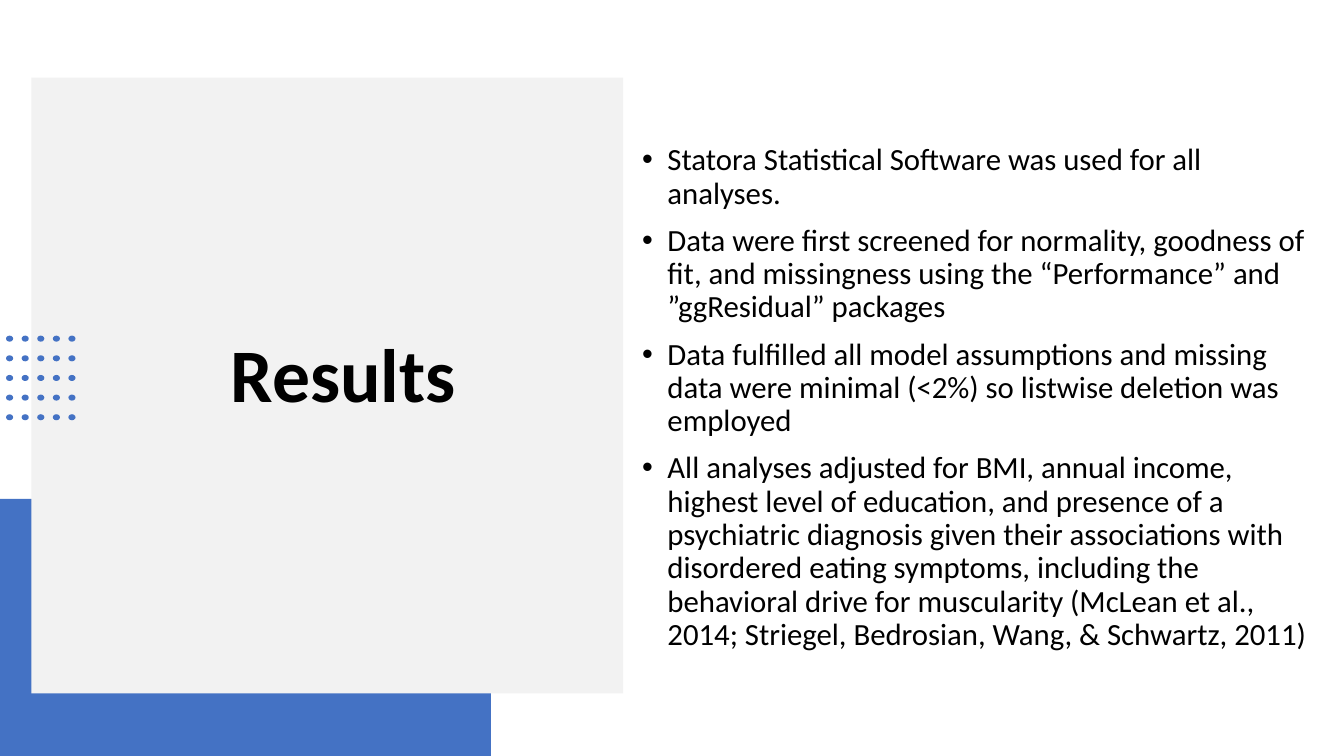
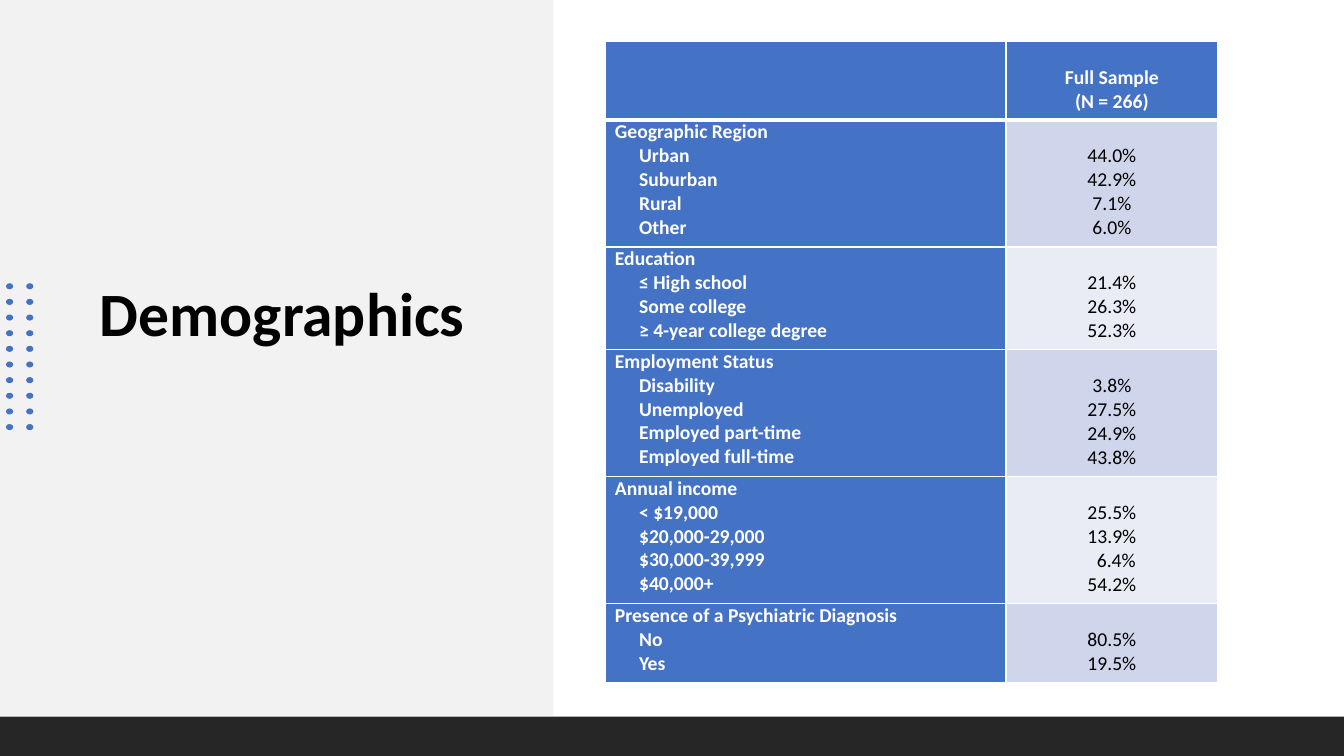
from itertools import product

from lxml import etree
from pptx import Presentation
from pptx.dml.color import RGBColor
from pptx.enum.shapes import MSO_SHAPE
from pptx.enum.text import MSO_ANCHOR, MSO_AUTO_SIZE, PP_ALIGN
from pptx.oxml.ns import qn
from pptx.util import Inches, Pt

RECTANGLE, OVAL = MSO_SHAPE.RECTANGLE, MSO_SHAPE.OVAL
TOP, MIDDLE = MSO_ANCHOR.TOP, MSO_ANCHOR.MIDDLE
LEFT, CENTER = PP_ALIGN.LEFT, PP_ALIGN.CENTER
NO_AUTOFIT = MSO_AUTO_SIZE.NONE
COLORS = {
    "accent": "4472C4",
    "panel": "F2F2F2",
    "footer": "262626",
    "text": "000000",
    "light": "FFFFFF",
    "odd": "CFD5EA",
    "even": "E9EBF5",
}
FONT = "Calibri"

deck = Presentation()
deck.slide_width, deck.slide_height = Inches(13.33), Inches(7.5)
ACROSS, DOWN = deck.slide_width / 100, deck.slide_height / 100


def add_solid(shapes, kind, color, left, top, width, height):
    shape = shapes.add_shape(
        kind, int(left * ACROSS), int(top * DOWN), int(width * ACROSS), int(height * DOWN)
    )
    shape.shadow.inherit = False
    shape.fill.solid()
    shape.fill.fore_color.rgb = RGBColor.from_string(COLORS[color])
    shape.line.fill.background()


def write(frame, lines, size, color="text", bold=False, indents=None, **formats):
    for index, line in enumerate(lines):
        para = frame.paragraphs[0] if index == 0 else frame.add_paragraph()
        for name, value in formats.items():
            setattr(para, name, value)
        if indents:
            margin, hanging = indents[index]
            properties = para._p.get_or_add_pPr()
            properties.set("marL", str(int(margin * ACROSS)))
            properties.set("indent", str(int(hanging * ACROSS)))
        span = para.add_run()
        span.text = line
        for name, value in {"name": FONT, "size": Pt(size), "bold": bold}.items():
            setattr(span.font, name, value)
        span.font.color.rgb = RGBColor.from_string(COLORS[color])


FINDINGS = [
    "Statora Statistical Software was used for all analyses.",
    "Data were first screened for normality, goodness of fit, and missingness using the "
    "“Performance” and ”ggResidual” packages",
    "Data fulfilled all model assumptions and missing data were minimal (<2%) so listwise "
    "deletion was employed",
    "All analyses adjusted for BMI, annual income, highest level of education, and presence "
    "of a psychiatric diagnosis given their associations with disordered eating symptoms, "
    "including the behavioral drive for muscularity (McLean et al., 2014; Striegel, "
    "Bedrosian, Wang, & Schwartz, 2011)",
]
GROUPS = [
    ("Geographic Region",
     {"Urban": "44.0%", "Suburban": "42.9%", "Rural": "7.1%", "Other": "6.0%"}),
    ("Education",
     {"≤ High school": "21.4%", "Some college": "26.3%", "≥ 4-year college degree": "52.3%"}),
    ("Employment Status",
     {"Disability": "3.8%", "Unemployed": "27.5%", "Employed part-time": "24.9%",
      "Employed full-time": "43.8%"}),
    ("Annual income",
     {"< $19,000": "25.5%", "$20,000-29,000": "13.9%", "$30,000-39,999": "6.4%",
      "$40,000+": "54.2%"}),
    ("Presence of a Psychiatric Diagnosis", {"No": "80.5%", "Yes": "19.5%"}),
]
NUDGES = {"6.4%": 0.66}

PAGES = [
    {
        "layout": 1,
        "title": "Results",
        "title_box": (8.33, 19.6, 34.43, 60.8),
        "title_size": 54,
        "title_align": CENTER,
        "bands": [("accent", 0, 66, 36.53, 34), ("panel", 2.33, 10.27, 44.03, 81.47)],
        "dots": {"columns": 5, "rows": 5, "top": 44.4, "across": 1.16, "down": 2.6},
    },
    {
        "layout": 5,
        "title": "Demographics",
        "title_box": (6.68, 12.27, 30, 59.33),
        "title_size": 44,
        "title_align": LEFT,
        "bands": [("panel", 0, 0, 41.18, 94.67), ("footer", 0, 94.8, 100, 5.2)],
        "dots": {"columns": 2, "rows": 10, "top": 37.47, "across": 1.5, "down": 2.07},
    },
]

for plan in PAGES:
    page = deck.slides.add_slide(deck.slide_layouts[plan["layout"]])
    for band in plan["bands"]:
        add_solid(page.shapes, RECTANGLE, *band)

    dots = plan["dots"]
    cluster = page.shapes.add_group_shape()
    for column, row in product(range(dots["columns"]), range(dots["rows"])):
        left = 0.45 + column * dots["across"]
        top = dots["top"] + row * dots["down"]
        add_solid(cluster.shapes, OVAL, "accent", left, top, 0.53, 0.8)

    boxes = [(page.shapes.title, plan["title_box"])]
    if plan["layout"] == 1:
        boxes.append((page.placeholders[1], (47.03, 5.33, 51.3, 94.67)))
    for box, (left, top, width, height) in boxes:
        box.left, box.top = int(left * ACROSS), int(top * DOWN)
        box.width, box.height = int(width * ACROSS), int(height * DOWN)
        frame = box.text_frame
        frame.word_wrap = True
        frame.auto_size = NO_AUTOFIT
        frame.vertical_anchor = MIDDLE
        page.shapes._spTree.append(box._element)
    write(page.shapes.title.text_frame, [plan["title"]], plan["title_size"], bold=True,
          alignment=plan["title_align"], line_spacing=0.9)

write(deck.slides[0].placeholders[1].text_frame, FINDINGS, 22,
      indents=[(1.88, -1.88)] * len(FINDINGS), line_spacing=0.9, space_before=Pt(10))

HEADER_LINES, LINE_HEIGHT, ROW_PADDING = 3, 3.2, 0.8
line_counts = [HEADER_LINES] + [1 + len(shares) for _, shares in GROUPS]
row_heights = [ROW_PADDING + LINE_HEIGHT * count for count in line_counts]
column_widths = [29.78, 15.75]

table = page.shapes.add_table(
    len(row_heights), len(column_widths),
    int(45.08 * ACROSS), int(5.47 * DOWN),
    int(sum(column_widths) * ACROSS), int(sum(row_heights) * DOWN),
).table
for column, width in zip(table.columns, column_widths):
    column.width = int(width * ACROSS)
for row, height in zip(table.rows, row_heights):
    row.height = int(height * DOWN)

for row, column in product(range(len(row_heights)), range(len(column_widths))):
    cell = table.cell(row, column)
    is_value = row > 0 and column == 1
    margins = {
        "margin_left": Inches(0.09),
        "margin_right": Inches(0.09),
        "margin_top": int(LINE_HEIGHT * DOWN) if column == 1 else 0,
        "margin_bottom": 0,
        "vertical_anchor": TOP,
    }
    for name, value in margins.items():
        setattr(cell, name, value)

    heavy_edge = {0: "a:lnB", 1: "a:lnT"}.get(row)
    for edge in ("a:lnL", "a:lnR", "a:lnT", "a:lnB"):
        weight = Pt(3) if edge == heavy_edge else Pt(1)
        line = etree.SubElement(cell._tc.get_or_add_tcPr(), qn(edge), w=str(weight))
        fill = etree.SubElement(line, qn("a:solidFill"))
        etree.SubElement(fill, qn("a:srgbClr"), val=COLORS["light"])
    shade = ("odd" if row % 2 else "even") if is_value else "accent"
    cell.fill.solid()
    cell.fill.fore_color.rgb = RGBColor.from_string(COLORS[shade])

    if row == 0:
        lines = ["Full Sample", "(N = 266)"] if column == 1 else []
        indents = None
    else:
        heading, shares = GROUPS[row - 1]
        if is_value:
            lines = list(shares.values())
            indents = [(NUDGES.get(share, 0), 0) for share in lines]
        else:
            lines = [heading, *shares]
            indents = [(0, 0)] + [(1.8, 0)] * len(shares)
    write(cell.text_frame, lines, 14, color="text" if is_value else "light",
          bold=not is_value, indents=indents, alignment=CENTER if column == 1 else LEFT)

deck.save("out.pptx")
